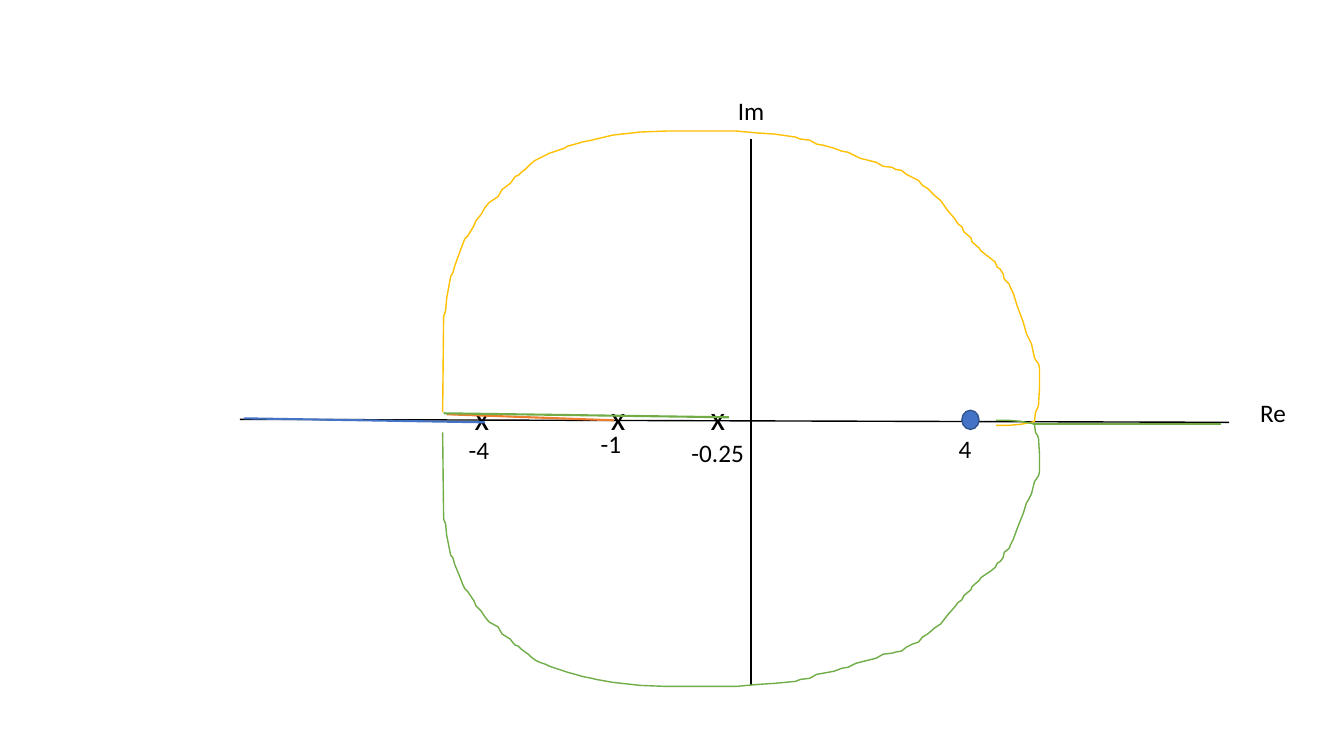
from dataclasses import dataclass

from lxml import etree
from pptx import Presentation
from pptx.dml.color import RGBColor
from pptx.enum.shapes import MSO_CONNECTOR, MSO_SHAPE
from pptx.enum.text import MSO_AUTO_SIZE
from pptx.oxml.ns import qn
from pptx.util import Pt

PX = 9144  # 100 px to the inch
LINE = MSO_CONNECTOR.STRAIGHT
OVAL = MSO_SHAPE.OVAL
GROW = MSO_AUTO_SIZE.SHAPE_TO_FIT_TEXT


@dataclass(frozen=True)
class Theme:
    font: str = "Calibri"
    ink: str = "000000"
    blue: str = "4472C4"
    navy: str = "325491"
    orange: str = "ED7D31"
    green: str = "70AD47"
    gold: str = "FFC000"
    label: int = 18
    mark: int = 24
    thin: float = 1
    thick: float = 1.5


class Plot:
    def __init__(self, slide, theme):
        self.shapes = slide.shapes
        self.theme = theme

    def stroke(self, line, color, width):
        line.color.rgb = RGBColor.from_string(color)
        line.width = Pt(width)

    def line(self, start, end, color, width):
        ends = [v * PX for v in (*start, *end)]
        item = self.shapes.add_connector(LINE, *ends)
        self.stroke(item.line, color, width)
        etree.SubElement(item._element.spPr, qn("a:effectLst"))

    def text(self, words, box, size, wrap=False):
        frame = self.shapes.add_textbox(*[v * PX for v in box]).text_frame
        frame.word_wrap = wrap
        frame.auto_size = GROW
        para = frame.paragraphs[0]
        para.text = words
        para.font.name = self.theme.font
        para.font.size = Pt(size)
        para.font.color.rgb = RGBColor.from_string(self.theme.ink)

    def dot(self, box, fill, edge):
        item = self.shapes.add_shape(OVAL, *[v * PX for v in box])
        item.shadow.inherit = False
        item.fill.solid()
        item.fill.fore_color.rgb = RGBColor.from_string(fill)
        self.stroke(item.line, edge, self.theme.thin)

    def curve(self, points, color):
        pen = self.shapes.build_freeform(*points[0], scale=PX)
        pen.add_line_segments(points[1:], close=False)
        item = pen.convert_to_shape()
        item.shadow.inherit = False
        item.fill.background()
        self.stroke(item.line, color, self.theme.thin)


# Upper branch of the locus, from the left end to the right
UPPER = [
    (439, 409), (440, 314), (442, 308), (443, 296), (447, 274), (449, 271),
    (451, 264), (456, 250), (459, 242), (461, 237), (464, 234), (470, 224),
    (472, 219), (477, 213), (481, 206), (485, 201), (494, 195), (498, 188),
    (506, 182), (509, 178), (511, 175), (514, 174), (517, 171), (521, 168),
    (524, 165), (527, 162), (531, 159), (535, 157), (541, 154), (545, 152),
    (554, 149), (560, 147), (563, 145), (574, 142), (577, 141), (587, 139),
    (591, 138), (608, 134), (635, 131), (661, 130), (707, 130), (730, 130),
    (752, 132), (768, 133), (789, 136), (794, 138), (803, 139), (810, 143),
    (816, 144), (827, 147), (835, 150), (841, 151), (849, 155), (853, 157),
    (869, 161), (876, 165), (885, 166), (888, 168), (894, 169), (899, 173),
    (905, 176), (911, 179), (915, 184), (920, 187), (927, 194), (933, 199),
    (940, 209), (947, 217), (950, 222), (954, 225), (956, 230), (963, 236),
    (964, 240), (971, 246), (973, 249), (982, 256), (987, 260), (989, 265),
    (992, 267), (995, 272), (996, 277), (1001, 282), (1002, 285), (1005, 291),
    (1009, 304), (1015, 320), (1018, 331), (1020, 335), (1023, 341),
    (1026, 355), (1030, 361), (1031, 365), (1031, 384), (1030, 402),
    (1029, 405), (1027, 409), (1026, 418), (1023, 419), (1012, 421),
    (1000, 422), (988, 422),
]
# Lower branch: the upper one turned over and made a little flatter
LOWER = [(x, round(681 - (y - 130) * 265 / 293)) for x, y in UPPER]


def main():
    deck = Presentation()
    deck.slide_width, deck.slide_height = 1333 * PX, 750 * PX
    theme = Theme()
    plot = Plot(deck.slides.add_slide(deck.slide_layouts[6]), theme)

    # Axes and their names
    plot.line((745, 680), (745, 138), theme.ink, theme.thin)
    plot.line((238, 416), (1219, 419), theme.ink, theme.thin)
    plot.text("Re", (1240, 389, 46, 40), theme.label)
    plot.text("Im", (722, 90, 47, 40), theme.label)

    # Poles and the zero
    for left in (461, 596, 695):
        plot.text("x", (left, 389, 28, 50), theme.mark, wrap=True)
    plot.dot((954, 407, 17, 19), theme.blue, theme.navy)
    for words, box in (
        ("-4", (455, 426, 41, 40)),
        ("-1", (586, 420, 41, 40)),
        ("-0.25", (676, 429, 73, 40)),
        ("4", (941, 425, 33, 40)),
    ):
        plot.text(words, box, theme.label)

    # Locus on the real axis
    for start, end, color in (
        ((242, 415), (481, 419), theme.blue),
        ((443, 411), (609, 417), theme.orange),
        ((440, 410), (723, 414), theme.green),
    ):
        plot.line(start, end, color, theme.thick)

    # Locus off the real axis, and its end on the right
    plot.curve(UPPER, theme.gold)
    plot.curve(LOWER, theme.green)
    plot.line((1025, 421), (1211, 421), theme.green, theme.thick)

    deck.save("out.pptx")


if __name__ == "__main__":
    main()
